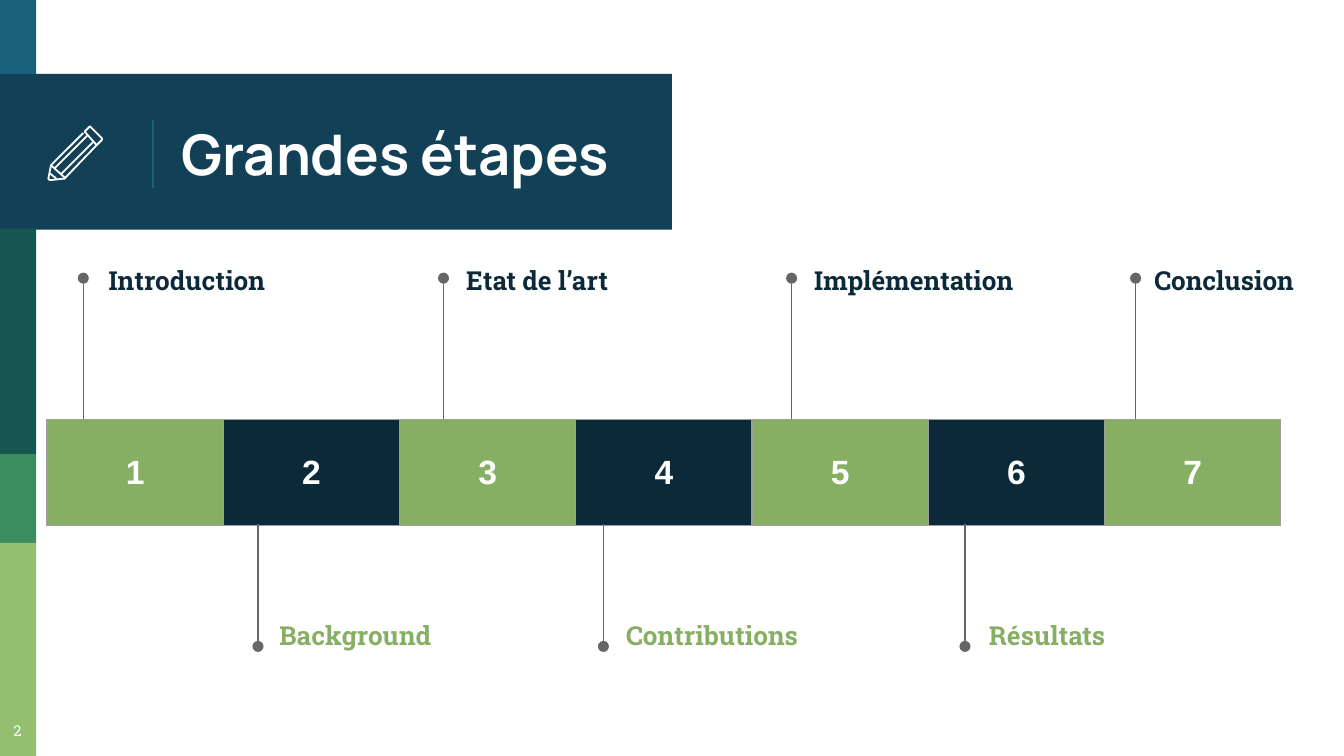
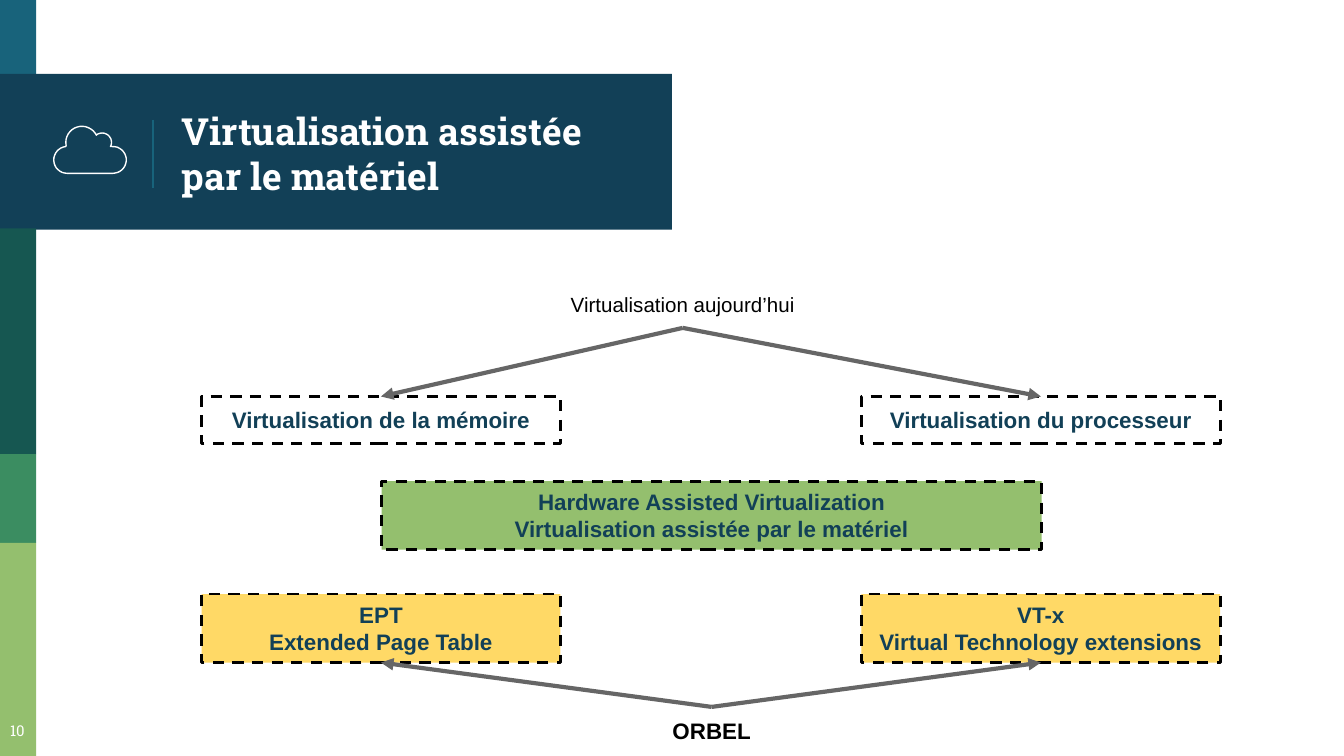
from math import cos, radians, sin

from lxml import etree
from pptx import Presentation
from pptx import util as u
from pptx.dml.color import RGBColor
from pptx.enum import dml, shapes, text
from pptx.oxml import ns

HUE = {
    "white": "FFFFFF", "black": "000000", "gray": "666666", "edge": "9E9E9E",
    "blue": "18637B", "navy": "124057", "ink": "0B2939", "teal": "165751",
    "jade": "3B8D61", "lime": "94BF6E", "leaf": "87AF64", "gold": "FFD966",
}
RGB = {name: RGBColor.from_string(code) for name, code in HUE.items()}
SLAB = "Roboto Slab"
LEFT, MID = text.PP_ALIGN.LEFT, text.PP_ALIGN.CENTER
TOP, CORE = text.MSO_ANCHOR.TOP, text.MSO_ANCHOR.MIDDLE


def write(frame, lines, size, font, hue, bold=True, align=MID, anchor=CORE):
    """Fill a text frame, one paragraph for each line."""
    frame.word_wrap = True
    frame.auto_size = text.MSO_AUTO_SIZE.NONE
    frame.vertical_anchor = anchor
    frame.margin_left = frame.margin_right = u.Inches(0.1)
    frame.margin_top = frame.margin_bottom = u.Inches(0.1)
    for i, line in enumerate(lines):
        para = frame.add_paragraph() if i else frame.paragraphs[0]
        para.alignment = align
        run = para.add_run()
        run.text = line
        run.font.size = u.Pt(size)
        run.font.name = font
        run.font.bold = bold
        run.font.color.rgb = RGB[hue]


def link(page, x1, y1, x2, y2, hue="gray", width=0.75, tip=None):
    """Draw a straight connector, with an optional tip at its end."""
    line = page.shapes.add_connector(
        shapes.MSO_CONNECTOR.STRAIGHT,
        u.Inches(x1), u.Inches(y1), u.Inches(x2), u.Inches(y2))
    line.line.color.rgb = RGB[hue]
    line.line.width = u.Pt(width)
    if tip:
        etree.SubElement(line.line._get_or_add_ln(), ns.qn("a:tailEnd"), type=tip)
    etree.SubElement(line._element.spPr, ns.qn("a:effectLst"))
    return line


# Icons: each stroke is its points and whether it is closed
pencil = [
    ([(0.76, 1.03), (0.68, 0.95), (0.67, 0.94), (0.66, 0.95),
      (0.63, 0.98), (0.72, 1.08), (0.76, 1.04)], True),
    ([(0.69, 1.06), (0.45, 1.3)], False),
    ([(0.62, 0.99), (0.38, 1.23), (0.36, 1.33), (0.37, 1.34),
      (0.38, 1.34), (0.47, 1.33), (0.48, 1.33), (0.72, 1.08)], False),
    ([(0.41, 1.25), (0.65, 1.01)], False),
    ([(0.42, 1.33), (0.37, 1.29)], False),
    ([(0.38, 1.23), (0.48, 1.32)], False),
]
# Lobes of the cloud: centre, radius, first and last angle
lobes = [
    (0.5, 1.19, 0.1, 90, 265),
    (0.61, 1.06, 0.12, 170, 334),
    (0.76, 1.06, 0.07, 232, 385),
    (0.84, 1.19, 0.1, 280, 450),
]
rim = []
for cx, cy, r, start, stop in lobes:
    for k in range(17):
        turn = radians(start + (stop - start) * k / 16)
        rim.append((cx + r * cos(turn), cy + r * sin(turn)))
cloud = [(rim, True)]

bands = [
    (0, 0.27, 0.58, "blue"),
    (0.55, 5, 1.16, "navy"),
    (1.7, 0.27, 1.68, "teal"),
    (3.38, 0.27, 0.66, "jade"),
    (4.04, 0.27, 1.59, "lime"),
]
heads = [
    ("Grandes étapes", 30, "Manrope", "2", pencil, 0.96),
    ("Virtualisation assistée par le matériel", 20, SLAB, "10", cloud, 0.75),
]

deck = Presentation()
deck.slide_width = u.Inches(10)
deck.slide_height = deck.slide_width * 9 // 16

# Bands, title, icon and page number of every slide
pages = []
for name, size, font, num, icon, width in heads:
    page = deck.slides.add_slide(deck.slide_layouts[5])
    pages.append(page)
    for y, w, h, hue in bands:
        band = page.shapes.add_shape(
            shapes.MSO_SHAPE.RECTANGLE, 0, u.Inches(y), u.Inches(w), u.Inches(h))
        band.shadow.inherit = False
        band.fill.solid()
        band.fill.fore_color.rgb = RGB[hue]
        band.line.fill.background()
    link(page, 1.14, 0.89, 1.14, 1.4, "blue")

    title = page.shapes.title
    title.left, title.top = u.Inches(1.25), u.Inches(0.58)
    title.width, title.height = u.Inches(3.51), u.Inches(1.12)
    write(title.text_frame, [name], size, font, "white", align=LEFT)
    title.element.getparent().append(title.element)

    for points, closed in icon:
        dots = [(x * 1000, y * 1000) for x, y in points]
        pen = page.shapes.build_freeform(*dots[0], scale=u.Inches(0.001))
        pen.add_line_segments(dots[1:], close=closed)
        stroke = pen.convert_to_shape()
        stroke.shadow.inherit = False
        stroke.fill.background()
        stroke.line.color.rgb = RGB["white"]
        stroke.line.width = u.Pt(width)

    box = page.shapes.add_textbox(
        u.Inches(-0.06), u.Inches(5.27), u.Inches(0.38), u.Inches(0.35))
    write(box.text_frame, [num], 8, SLAB, "white", bold=False, anchor=TOP)

plan, tech = pages

# Timeline: stem x, label x, label width, label
steps = [
    (0.62, 0.71, 1.91, "Introduction"),
    (1.92, 1.98, 1.83, "Background"),
    (3.3, 3.37, 1.83, "Etat de l’art"),
    (4.49, 4.56, 1.76, "Contributions"),
    (5.89, 5.96, 2.04, "Implémentation"),
    (7.18, 7.26, 1.76, "Résultats"),
    (8.45, 8.49, 1.5, "Conclusion"),
]
grid = plan.shapes.add_table(
    1, len(steps), u.Inches(0.35), u.Inches(3.12), u.Inches(9.18), u.Inches(0.79)).table
grid.first_row = grid.horz_banding = False
for i, (x, left, w, name) in enumerate(steps):
    cell = grid.cell(0, i)
    write(cell.text_frame, [str(i + 1)], 18, "Arial", "white")
    cell.vertical_anchor = CORE
    cell.margin_top = cell.margin_bottom = u.Inches(0.05)
    props = cell._tc.get_or_add_tcPr()
    for side in ("lnL", "lnR", "lnT", "lnB"):
        edge = etree.SubElement(props, ns.qn("a:" + side), w=str(u.Pt(0.75)))
        fill = etree.SubElement(edge, ns.qn("a:solidFill"))
        etree.SubElement(fill, ns.qn("a:srgbClr"), val=HUE["edge"])
    cell.fill.solid()
    cell.fill.fore_color.rgb = RGB["ink" if i % 2 else "leaf"]

    base, end, top, hue = (3.9, 4.81, 4.51, "leaf") if i % 2 else (3.12, 2.07, 1.87, "ink")
    link(plan, x, base, x, end, tip="oval")
    label = plan.shapes.add_textbox(
        u.Inches(left), u.Inches(top), u.Inches(w), u.Inches(0.43))
    write(label.text_frame, [name], 14, SLAB, hue, align=LEFT)

# Diagram: two sources, each pointing at two boxes
now = tech.shapes.add_textbox(
    u.Inches(4.04), u.Inches(2.09), u.Inches(2.08), u.Inches(0.35))
write(now.text_frame, ["Virtualisation aujourd’hui"], 11, "Arial", "black", bold=False)
maker = tech.shapes.add_textbox(
    u.Inches(4.52), u.Inches(5.26), u.Inches(1.55), u.Inches(0.35))
write(maker.text_frame, ["ORBEL"], 12, "Arial", "black")

# Box: place, fill, lines, source, side left, side reached
boxes = [
    (1.5, 2.95, 2.67, 0.35, None, ["Virtualisation de la mémoire"], now, 2, 0),
    (6.41, 2.95, 2.67, 0.35, None, ["Virtualisation du processeur"], now, 2, 0),
    (2.84, 3.58, 4.91, 0.51, "lime",
     ["Hardware Assisted Virtualization", "Virtualisation assistée par le matériel"],
     None, 0, 0),
    (1.5, 4.42, 2.67, 0.51, "gold", ["EPT", "Extended Page Table"], maker, 0, 2),
    (6.41, 4.42, 2.67, 0.51, "gold", ["VT-x", "Virtual Technology extensions"], maker, 0, 2),
]
for x, y, w, h, hue, lines, root, out, into in boxes:
    box = tech.shapes.add_shape(
        shapes.MSO_SHAPE.RECTANGLE, u.Inches(x), u.Inches(y), u.Inches(w), u.Inches(h))
    box.shadow.inherit = False
    if hue:
        box.fill.solid()
        box.fill.fore_color.rgb = RGB[hue]
    else:
        box.fill.background()
    box.line.color.rgb = RGB["black"]
    box.line.width = u.Pt(1.5)
    box.line.dash_style = dml.MSO_LINE.DASH
    write(box.text_frame, lines, 12, "Arial", "navy")
    if root:
        arrow = link(tech, 0, 0, 1, 1, width=2.25, tip="triangle")
        arrow.begin_connect(root, out)
        arrow.end_connect(box, into)

deck.save("out.pptx")
